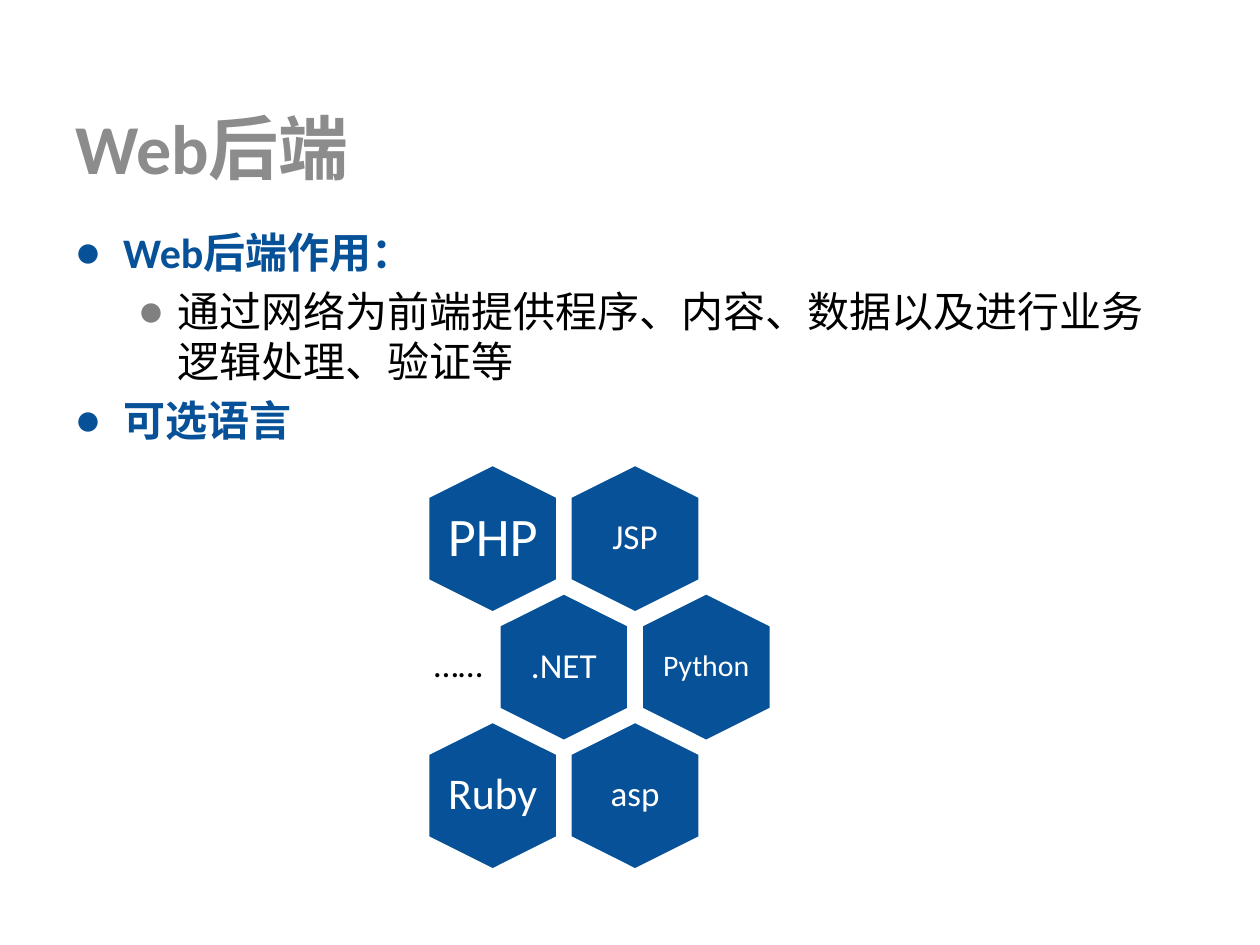
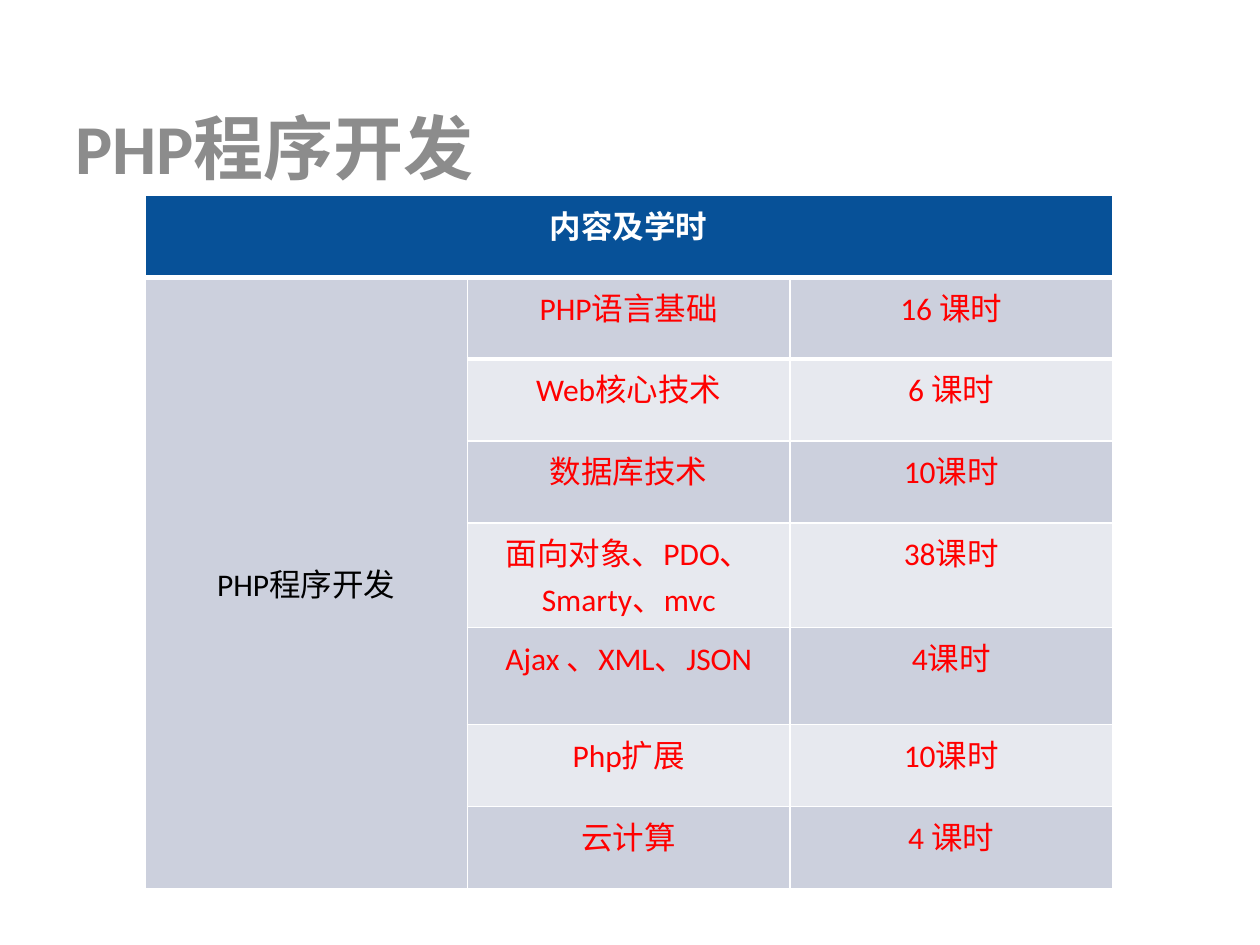
"""Build two slides on web back ends: language choices and a PHP course plan."""
import pptx
import pptx.util
import pptx.dml.color
import pptx.enum.shapes
import pptx.enum.text
import pptx.oxml
import pptx.oxml.ns

Inches = pptx.util.Inches
Pt = pptx.util.Pt
ALIGN = pptx.enum.text.PP_ALIGN
ANCHOR = pptx.enum.text.MSO_ANCHOR

COLORS = {"blue": "075198", "title": "8C8C8C", "gray": "808080", "black": "000000",
          "white": "FFFFFF", "red": "FF0000", "dark_band": "CCD0DD", "light_band": "E7E9EF"}
FONT = "Calibri"

BACKEND_TITLE = "Web后端"
BACKEND_POINTS = [
    (0, "Web后端作用："),
    (1, "通过网络为前端提供程序、内容、数据以及进行业务逻辑处理、验证等"),
    (0, "可选语言"),
]
POINT_STYLES = [
    {"margin": 0.38, "hang": 0.38, "bullet": "blue", "color": "blue", "bold": True},
    {"margin": 0.81, "hang": 0.31, "bullet": "gray", "color": "black", "bold": False},
]
LANGUAGES = [
    [("PHP", 31), ("JSP", 20)],
    [(".NET", 20), ("Python", 17)],
    [("Ruby", 25), ("asp", 20)],
]
MORE_LANGUAGES = "……"
HEX_LENGTH, HEX_WIDTH = 1.2, 1.05
HEX_LEFT, HEX_TOP = 3.31, 3.75
HEX_STEP_X, HEX_STEP_Y = 1.13, 1.02
LABEL_WIDTH, LABEL_HEIGHT = 0.72, 0.83

COURSE_TITLE = "PHP程序开发"
COURSE_HEADER = "内容及学时"
COURSE_NAME = "PHP程序开发"
ROW_HEIGHT, TWO_LINE_HEIGHT, LOOSE_HEIGHT = 0.65, 0.83, 0.77
LESSONS = [
    ("PHP语言基础", "16 课时", ROW_HEIGHT),
    ("Web核心技术", "6 课时", ROW_HEIGHT),
    ("数据库技术", "10课时", ROW_HEIGHT),
    ("面向对象、PDO、Smarty、mvc", "38课时", TWO_LINE_HEIGHT),
    ("Ajax 、XML、JSON", "4课时", LOOSE_HEIGHT),
    ("Php扩展", "10课时", ROW_HEIGHT),
    ("云计算", "4 课时", ROW_HEIGHT),
]
COLUMN_WIDTH = 2.56


def rgb(name):
    return pptx.dml.color.RGBColor.from_string(COLORS[name])


def set_all(target, values):
    for name, value in values.items():
        setattr(target, name, value)


def add_span(para, text, size, color, bold=False, east_asian=True):
    span = para.add_run()
    span.text = text
    set_all(span.font, {"name": FONT, "size": Pt(size), "bold": bold})
    span.font.color.rgb = rgb(color)
    if east_asian:
        properties = span.font._element
        properties.append(pptx.oxml.parse_xml(
            f'<a:ea {pptx.oxml.ns.nsdecls("a")} typeface="{FONT}"/>'))


def add_box(page, left, top, width, height, anchor, inset_x=0, inset_y=0):
    box = page.shapes.add_textbox(*map(Inches, (left, top, width, height)))
    set_all(box.text_frame, {
        "word_wrap": True, "vertical_anchor": anchor,
        "margin_left": Inches(inset_x), "margin_right": Inches(inset_x),
        "margin_top": Inches(inset_y), "margin_bottom": Inches(inset_y)})
    return box.text_frame


def add_page(deck, title):
    page = deck.slides.add_slide(deck.slide_layouts[6])
    frame = add_box(page, 0.5, 0.78, 9, 0.77, ANCHOR.MIDDLE, 0.1, 0.05)
    add_span(frame.paragraphs[0], title, 40, "title", True)
    return page


def set_bullet(para, style):
    properties = para._p.get_or_add_pPr()
    properties.set("marL", str(Inches(style["margin"])))
    properties.set("indent", str(-Inches(style["hang"])))
    namespace = pptx.oxml.ns.nsdecls("a")
    for xml in (f'<a:buClr {namespace}><a:srgbClr val="{COLORS[style["bullet"]]}"/></a:buClr>',
                f'<a:buFont {namespace} typeface="{FONT}"/>',
                f'<a:buChar {namespace} char="●"/>'):
        properties.append(pptx.oxml.parse_xml(xml))


def add_points(page):
    frame = add_box(page, 0.5, 1.75, 9, 4.95, ANCHOR.TOP, 0.1, 0.05)
    for index, (level, text) in enumerate(BACKEND_POINTS):
        para = frame.add_paragraph() if index else frame.paragraphs[0]
        style = POINT_STYLES[level]
        para.level = level
        set_bullet(para, style)
        if index:
            para.space_before = Pt(4.8)
        add_span(para, text, 24, style["color"], style["bold"])


def add_label(page, left, top, width, height, text, size, color, align, inset=0):
    frame = add_box(page, left, top, width, height, ANCHOR.MIDDLE, inset)
    para = frame.paragraphs[0]
    set_all(para, {"alignment": align, "line_spacing": 0.9})
    add_span(para, text, size, color)


def add_hexagon(page, left, top, text, size):
    hexagon = page.shapes.add_shape(
        pptx.enum.shapes.MSO_SHAPE.HEXAGON,
        *map(Inches, (left, top, HEX_LENGTH, HEX_WIDTH)))
    hexagon.rotation = 90
    hexagon.adjustments[0], hexagon.adjustments[1] = 0.25, 1.1547
    hexagon.shadow.inherit = False
    hexagon.fill.solid()
    hexagon.fill.fore_color.rgb = rgb("blue")
    hexagon.line.color.rgb = rgb("white")
    hexagon.line.width = Pt(3.15)
    add_label(page, left + (HEX_LENGTH - LABEL_WIDTH) / 2, top + (HEX_WIDTH - LABEL_HEIGHT) / 2,
              LABEL_WIDTH, LABEL_HEIGHT, text, size, "white", ALIGN.CENTER)


def add_honeycomb(page):
    for row, languages in enumerate(LANGUAGES):
        for column, (text, size) in enumerate(languages):
            left = HEX_LEFT + HEX_STEP_X * (column + row % 2 / 2)
            add_hexagon(page, left, HEX_TOP + HEX_STEP_Y * row, text, size)
    add_label(page, 2.61, 4.93, 1.3, 0.72, MORE_LANGUAGES, 20, "black", ALIGN.RIGHT, 0.08)


def fill_cell(cell, text, fill, color, bold=False, anchor=ANCHOR.TOP):
    cell.fill.solid()
    cell.fill.fore_color.rgb = rgb(fill)
    cell.vertical_anchor = anchor
    para = cell.text_frame.paragraphs[0]
    para.alignment = ALIGN.CENTER
    add_span(para, text, 18, color, bold, east_asian=False)


def set_border(cell, side, width):
    cell._tc.get_or_add_tcPr().insert(0, pptx.oxml.parse_xml(
        f'<a:{side} {pptx.oxml.ns.nsdecls("a")} w="{Pt(width)}"><a:solidFill>'
        f'<a:srgbClr val="{COLORS["white"]}"/></a:solidFill></a:{side}>'))


def add_course_table(page):
    heights = [ROW_HEIGHT] + [height for _, _, height in LESSONS]
    table = page.shapes.add_table(
        len(heights), 3, Inches(1.15), Inches(1.55),
        Inches(3 * COLUMN_WIDTH), Inches(sum(heights))).table
    for column in table.columns:
        column.width = Inches(COLUMN_WIDTH)
    for row, height in zip(table.rows, heights):
        row.height = Inches(height)
    table.cell(0, 0).merge(table.cell(0, 2))
    table.cell(1, 0).merge(table.cell(len(LESSONS), 0))
    fill_cell(table.cell(0, 0), COURSE_HEADER, "blue", "white", True)
    fill_cell(table.cell(1, 0), COURSE_NAME, "dark_band", "black", anchor=ANCHOR.MIDDLE)
    for row, (topic, hours, _) in enumerate(LESSONS, 1):
        band = "dark_band" if row % 2 else "light_band"
        for column, text in enumerate((topic, hours), 1):
            fill_cell(table.cell(row, column), text, band, "red")
    for column in range(3):
        set_border(table.cell(0, column), "lnB", 3)
        set_border(table.cell(1, column), "lnT", 3)


def main():
    deck = pptx.Presentation()
    deck.slide_width, deck.slide_height = Inches(10), Inches(7.5)
    backend_page = add_page(deck, BACKEND_TITLE)
    add_points(backend_page)
    add_honeycomb(backend_page)
    add_course_table(add_page(deck, COURSE_TITLE))
    deck.save("out.pptx")


if __name__ == "__main__":
    main()
